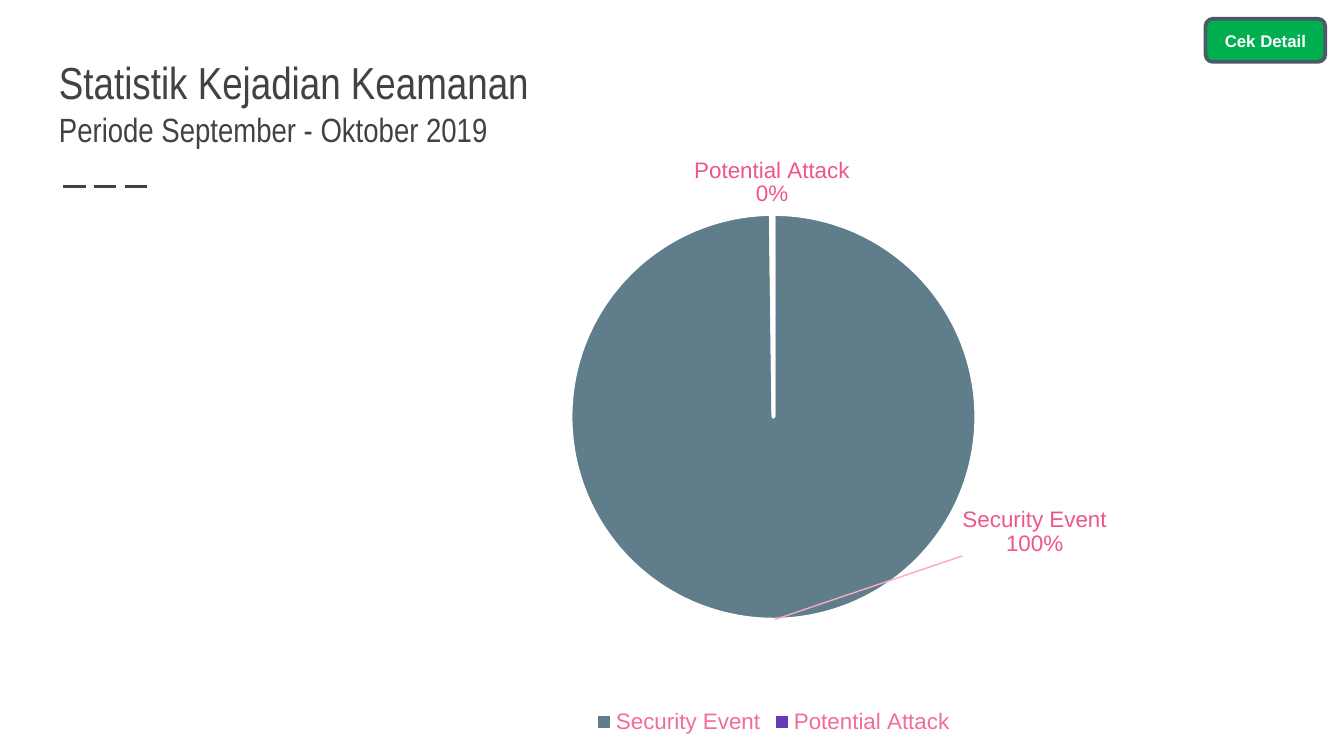
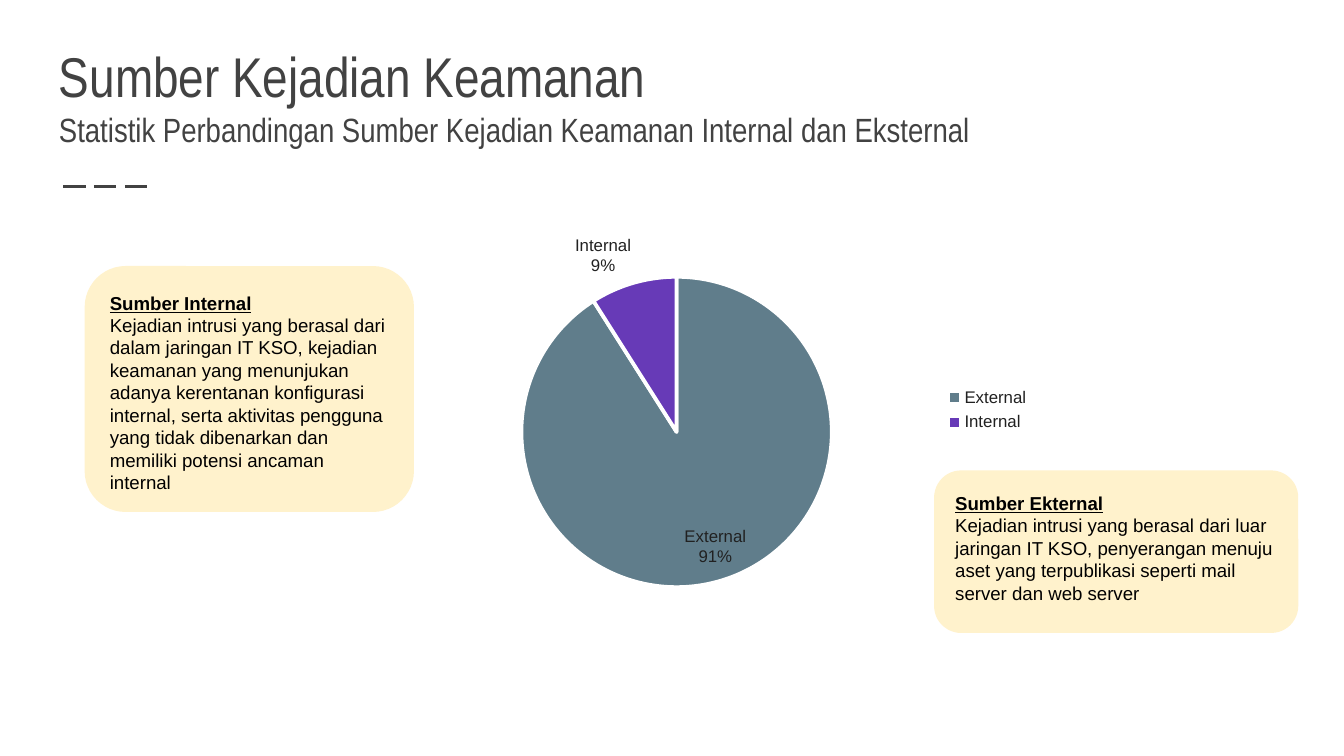
from lxml import etree
from pptx import Presentation
from pptx.chart.data import CategoryChartData
from pptx.dml.color import RGBColor
from pptx.enum.chart import XL_CHART_TYPE as Chart, XL_LABEL_POSITION as LabelPos
from pptx.enum.chart import XL_LEGEND_POSITION as LegendPos
from pptx.enum.dml import MSO_LINE
from pptx.enum.shapes import MSO_CONNECTOR, MSO_SHAPE
from pptx.enum.text import MSO_ANCHOR as Anchor, PP_ALIGN as Align
from pptx.oxml import parse_xml
from pptx.oxml.ns import nsdecls, qn
from pptx.util import Inches, Pt

COLORS = {
    "dark": "424242", "white": "FFFFFF", "black": "000000",
    "green": "00B050", "button_edge": "475C67", "cream": "FFF2CC",
    "slate": "607D8B", "purple": "673AB7", "ink": "212121",
    "pink": "E91D63", "label_pink": "EE568A", "legend_pink": "F16C9A",
    "leader_pink": "F6AAC4",
}
BODY, HEADING = "Arial", "Arial Narrow"
SLICES = ("slate", "purple")


def rgb(name):
    return RGBColor.from_string(COLORS[name])


def set_font(font, size, color, face=BODY, bold=False, underline=False):
    font.name, font.size, font.bold = face, Pt(size), bold
    font.color.rgb = rgb(color)
    if underline:
        font.underline = True


def add_run(p, text, *args, **kwargs):
    r = p.add_run()
    r.text = text
    set_font(r.font, *args, **kwargs)


def set_frame(tf, anchor, inset=0.1):
    tf.word_wrap = True
    tf.vertical_anchor = anchor
    tf.margin_left = tf.margin_right = Inches(inset)
    tf.margin_top = tf.margin_bottom = Inches(inset)


def add_heading(s, title, size, subtitle):
    # Dashed rule under the title
    rule = s.shapes.add_connector(MSO_CONNECTOR.STRAIGHT, Inches(0.47), Inches(1.39),
                                  Inches(1.14), Inches(1.39))
    rule.line.color.rgb = rgb("dark")
    rule.line.width = Pt(1.5)
    rule.line.dash_style = MSO_LINE.LONG_DASH
    etree.SubElement(rule._element.spPr, qn("a:effectLst"))
    # Title and subtitle
    box = s.shapes.add_textbox(Inches(0.34), Inches(0.41), Inches(9.32), Inches(0.8))
    tf = box.text_frame
    set_frame(tf, Anchor.BOTTOM)
    add_run(tf.paragraphs[0], title, size, "dark", HEADING)
    add_run(tf.add_paragraph(), subtitle, 18, "dark", HEADING)


def add_round_box(s, x, y, w, h, fill, edge=None):
    sp = s.shapes.add_shape(MSO_SHAPE.ROUNDED_RECTANGLE, Inches(x), Inches(y),
                            Inches(w), Inches(h))
    sp.shadow.inherit = False
    sp.fill.solid()
    sp.fill.fore_color.rgb = rgb(fill)
    if edge:
        sp.line.color.rgb = rgb(edge)
        sp.line.width = Pt(2)
    else:
        sp.line.fill.background()
    return sp


def add_button(s, text):
    sp = add_round_box(s, 8.97, 0.14, 0.89, 0.32, "green", "button_edge")
    set_frame(sp.text_frame, Anchor.MIDDLE, 0.05)
    p = sp.text_frame.paragraphs[0]
    p.alignment = Align.CENTER
    add_run(p, text, 9, "white", bold=True)


def add_note(s, x, y, w, h, title, body):
    sp = add_round_box(s, x, y, w, h, "cream")
    tf = sp.text_frame
    set_frame(tf, Anchor.TOP)
    add_run(tf.paragraphs[0], title, 10, "black", bold=True, underline=True)
    add_run(tf.add_paragraph(), body, 10, "black")
    for p in tf.paragraphs:
        p.alignment = Align.LEFT


def layout_xml(x, y, w=None, h=None):
    """Manual layout: a plot area when a size is given, else a label offset."""
    parts = []
    if w is not None:
        parts = [("layoutTarget", "inner"), ("xMode", "edge"), ("yMode", "edge")]
    parts += [("x", x), ("y", y)]
    if w is not None:
        parts += [("w", w), ("h", h)]
    inner = "".join(f'<c:{tag} val="{val}"/>' for tag, val in parts)
    return parse_xml(f'<c:layout {nsdecls("c")}><c:manualLayout>{inner}'
                     '</c:manualLayout></c:layout>')


def add_line_break(labels_xml):
    separator = etree.Element(qn("c:separator"))
    separator.text = "\n"
    labels_xml.find(qn("c:showBubbleSize")).addnext(separator)


def add_pie(s, frame, name, values, plot, legend_pos, legend_font, label_font, label_pos):
    data = CategoryChartData()
    data.categories = list(values)
    data.add_series(name, list(values.values()))
    chart = s.shapes.add_chart(Chart.PIE, *map(Inches, frame), data).chart
    set_font(chart.font, 10, "pink")
    chart.has_title = False
    chart.has_legend = True
    chart.legend.position = legend_pos
    chart.legend.include_in_layout = False
    set_font(chart.legend.font, *legend_font)

    # Plot area
    area = chart._chartSpace.chart.plotArea
    for old in area.findall(qn("c:layout")):
        area.remove(old)
    area.insert(0, layout_xml(*plot))

    # Slices
    chart.plots[0].vary_by_categories = True
    series = chart.plots[0].series[0]
    for i, color in enumerate(SLICES):
        fmt = series.points[i].format
        fmt.fill.solid()
        fmt.fill.fore_color.rgb = rgb(color)
        fmt.line.color.rgb = rgb("white")
        fmt.line.width = Pt(2)

    # Labels: category above percentage
    labels = series.data_labels
    labels.show_value = False
    labels.show_category_name = labels.show_percentage = True
    labels.number_format, labels.number_format_is_linked = "0%", False
    labels.position = label_pos
    set_font(labels.font, *label_font)
    add_line_break(labels._element)
    return series


def move_label(series, index, dx, dy, label_font, leader):
    label = series.points[index].data_label
    label.position = LabelPos.OUTSIDE_END
    set_font(label.font, *label_font)
    labels_xml = series.data_labels._element
    dlbl = labels_xml.findall(qn("c:dLbl"))[0]
    for tag, val in (("showVal", 0), ("showCatName", 1), ("showPercent", 1)):
        dlbl.find(qn(f"c:{tag}")).set("val", str(val))
    add_line_break(dlbl)
    dlbl.find(qn("c:idx")).addnext(layout_xml(dx, dy))
    labels_xml.append(parse_xml(
        f'<c:leaderLines {nsdecls("c", "a")}><c:spPr><a:ln w="9525"><a:solidFill>'
        f'<a:srgbClr val="{COLORS[leader]}"/></a:solidFill></a:ln></c:spPr></c:leaderLines>'))


def build_statistics(s):
    add_heading(s, "Statistik Kejadian Keamanan", 24, "Periode September - Oktober 2019")
    add_button(s, "Cek Detail")
    label_font = (12, "label_pink")
    # The second share is tiny but not nil, so that its label is drawn
    series = add_pie(s, (2.42, 1.06, 6.67, 4.44), "Sales",
                     {"Security Event": 100, "Potential Attack": 0.2},
                     (0.27, 0.12, 0.46, 0.68), LegendPos.BOTTOM, (12, "legend_pink"),
                     label_font, LabelPos.OUTSIDE_END)
    move_label(series, 0, 0.29, -0.2, label_font, "leader_pink")


def build_sources(s):
    add_heading(s, "Sumber Kejadian Keamanan", 30,
                "Statistik Perbandingan Sumber Kejadian Keamanan Internal dan Eksternal")
    add_note(s, 6.95, 3.5, 2.71, 1.21, "Sumber Ekternal",
             "Kejadian intrusi yang berasal dari luar jaringan IT KSO, penyerangan menuju "
             "aset yang terpublikasi seperti mail server dan web server")
    add_note(s, 0.63, 1.98, 2.45, 1.83, "Sumber Internal",
             "Kejadian intrusi yang berasal dari dalam jaringan IT KSO, kejadian keamanan "
             "yang menunjukan adanya kerentanan konfigurasi internal, serta aktivitas "
             "pengguna yang tidak dibenarkan dan memiliki potensi ancaman internal")
    add_pie(s, (2.76, 1.55, 5, 3), "Series 1", {"External": 91, "Internal": 9},
            (0.12, 0.17, 0.67, 0.77), LegendPos.RIGHT, (9, "ink"), (9, "ink"),
            LabelPos.BEST_FIT)


def main():
    prs = Presentation()
    # Widescreen, 16:9
    prs.slide_width = Inches(10)
    prs.slide_height = Inches(10) * 9 // 16
    for build in (build_statistics, build_sources):
        build(prs.slides.add_slide(prs.slide_layouts[6]))
    prs.save("out.pptx")


if __name__ == "__main__":
    main()
